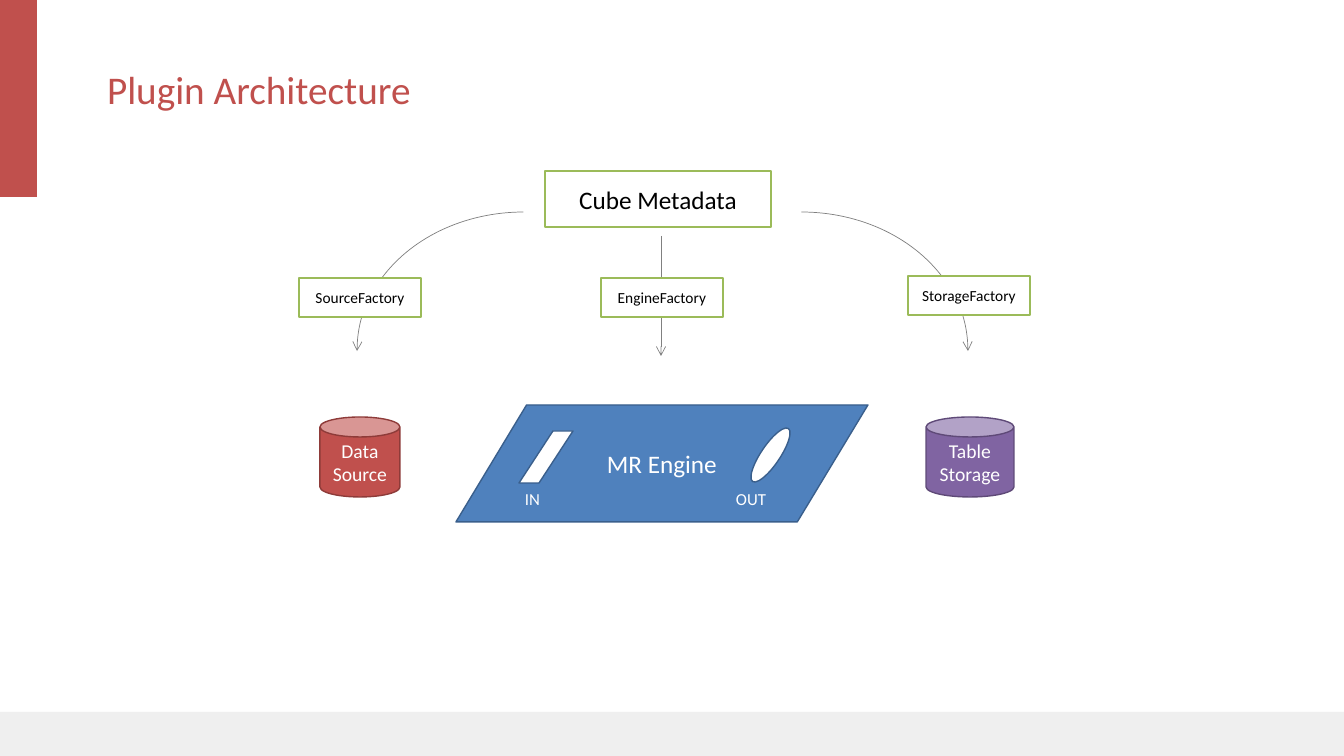
from lxml.etree import SubElement
from pptx import Presentation
from pptx.dml.color import RGBColor
from pptx.enum.shapes import MSO_CONNECTOR as CONN, MSO_SHAPE as SHAPE
from pptx.enum.text import MSO_ANCHOR as ANCHOR, PP_ALIGN as ALIGN
from pptx.oxml.ns import qn
from pptx.util import Emu, Pt

SLIDE_W, SLIDE_H = 1344, 756
SCALE = 12192000 / SLIDE_W
FONT = "Calibri"
COLORS = {
    "white": "FFFFFF", "black": "000000", "footer": "EFEFEF", "gray": "808080",
    "red": "C0504D", "red_edge": "8E3B39", "blue": "4F81BD", "blue_edge": "3A5F8C",
    "purple": "8064A2", "purple_edge": "5F4A78", "green": "9BBB59",
}


def px(n):
    return Emu(round(n * SCALE))


def rgb(name):
    return RGBColor.from_string(COLORS[name])


def format_text(tf, text, size, color, align=ALIGN.CENTER, anchor=ANCHOR.MIDDLE):
    tf.text = text
    tf.vertical_anchor = anchor
    p = tf.paragraphs[0]
    p.alignment = align
    font = p.runs[0].font
    font.name, font.size = FONT, Pt(size)
    font.color.rgb = rgb(color)
    return p


def add_block(slide, kind, box, fill=None, edge=None, text="", size=18, color="white"):
    sp = slide.shapes.add_shape(kind, *map(px, box))
    sp.shadow.inherit = False
    if fill:
        sp.fill.solid()
        sp.fill.fore_color.rgb = rgb(fill)
    else:
        sp.fill.background()
    if edge:
        sp.line.color.rgb = rgb(edge)
        sp.line.width = Pt(1)
    else:
        sp.line.fill.background()
    if text:
        sp.text_frame.word_wrap = True
        format_text(sp.text_frame, text, size, color)
    return sp


def add_label(slide, box, text):
    tf = slide.shapes.add_textbox(*map(px, box)).text_frame
    tf.word_wrap = False
    format_text(tf, text, 12, "white", ALIGN.LEFT, ANCHOR.TOP)


def style_arrow(sp):
    sp.line.color.rgb = rgb("gray")
    sp.line.width = Pt(0.5)
    ln = sp.element.spPr.find(qn("a:ln"))
    SubElement(ln, qn("a:tailEnd"), type="arrow")


def add_frame(slide):
    # Footer band and corner accent
    add_block(slide, SHAPE.RECTANGLE, (0, 712, SLIDE_W, SLIDE_H - 712), "footer")
    add_block(slide, SHAPE.RECTANGLE, (0, 0, 37, 197), "red")


def add_title(slide, box, text):
    title = slide.shapes.title
    title.left, title.top, title.width, title.height = map(px, box)
    p = format_text(title.text_frame, text, 28, "red", ALIGN.LEFT)
    p.line_spacing = 0.9
    p.space_before = Pt(10)


def add_engine(slide, box):
    x, y, w, h = box
    body = add_block(slide, SHAPE.PARALLELOGRAM, box, "blue", "blue_edge", "MR Engine")
    body.adjustments[0] = 0.604
    # Labelled input and output slots
    add_label(slide, (x + 59, y + 79, 35, 30), "IN")
    add_label(slide, (x + w - 142, y + 79, 51, 30), "OUT")
    outlet = add_block(slide, SHAPE.OVAL, (x + w - 107, y + 18, 19, 64), "white", "blue_edge")
    outlet.rotation = 34
    inlet = add_block(slide, SHAPE.PARALLELOGRAM, (x + 63, y + 26, 54, 52), "white", "blue_edge")
    inlet.adjustments[0] = 0.653


def add_stores(slide, top, size):
    for x, w, color, text in ((320, size, "red", "Data Source"),
                              (926, size + 8, "purple", "Table Storage")):
        add_block(slide, SHAPE.CAN, (x, top, w, size), color, color + "_edge", text, 14)


def add_metadata(slide, box):
    x, y, w, h = box
    add_block(slide, SHAPE.RECTANGLE, box, "white", "green", "Cube Metadata", 18, "black")
    # Curved arrows to the source and the storage
    for left, flipped in ((x + 90, False), (x - 188, True)):
        arc = add_block(slide, SHAPE.ARC, (left, y + 41, 333, 278))
        style_arrow(arc)
        if flipped:
            arc.element.spPr.find(qn("a:xfrm")).set("flipH", "1")
    # Straight arrow to the engine
    mid = x + 116
    line = slide.shapes.add_connector(CONN.STRAIGHT, px(mid), px(y + h + 9), px(mid), px(y + 185))
    style_arrow(line)
    SubElement(line.element.spPr, qn("a:effectLst"))


def add_factories(slide, top):
    for x, y, name in ((299, top, "Source"), (908, top - 2, "Storage"), (601, top, "Engine")):
        add_block(slide, SHAPE.RECTANGLE, (x, y, 122, 39), "white", "green",
                  name + "Factory", 11, "black")


def main():
    prs = Presentation()
    prs.slide_width, prs.slide_height = px(SLIDE_W), px(SLIDE_H)
    slide = prs.slides.add_slide(prs.slide_layouts[5])
    add_frame(slide)
    add_engine(slide, (456, 405, 412, 117))
    add_stores(slide, 417, 80)
    add_metadata(slide, (545, 171, 226, 56))
    add_factories(slide, 278)
    add_title(slide, (97, 44, 612, 96), "Plugin Architecture")
    prs.save("out.pptx")


if __name__ == "__main__":
    main()
